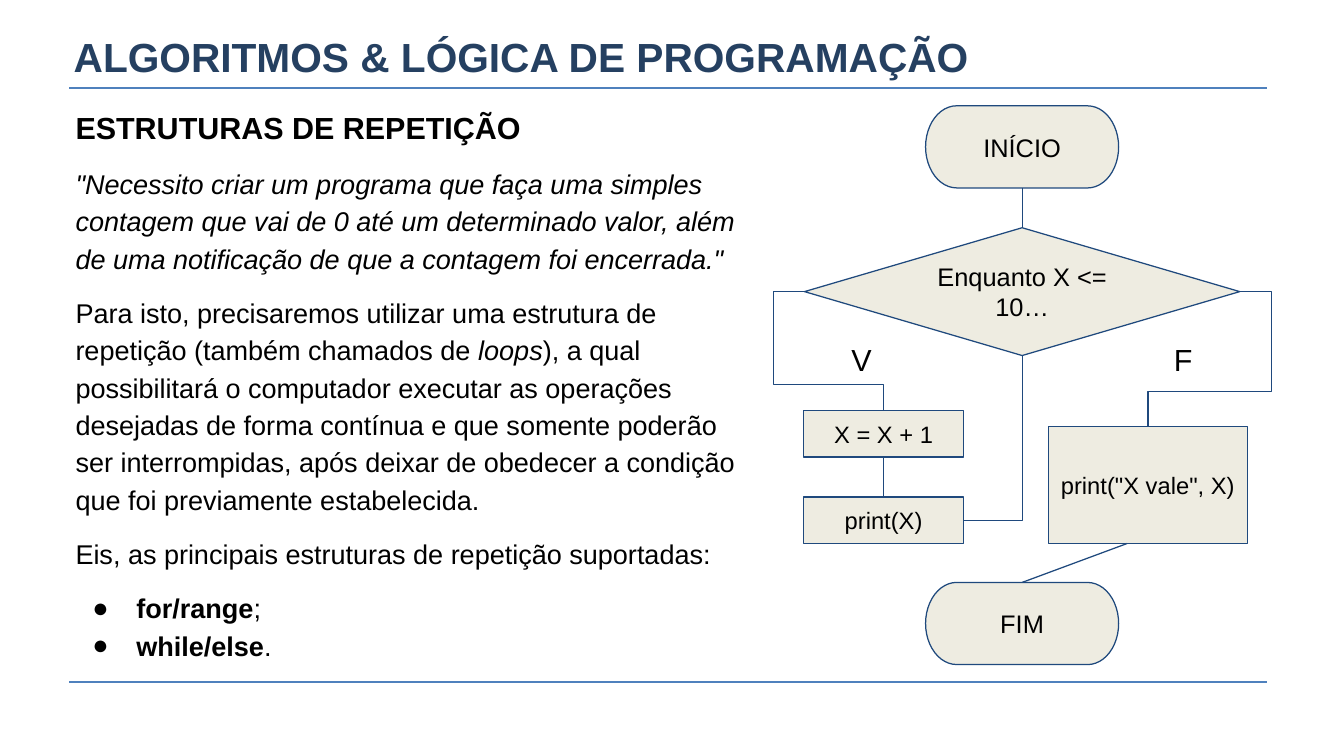
import dataclasses
import lxml.etree
import pptx
import pptx.dml.color
import pptx.enum.shapes
import pptx.enum.text
import pptx.oxml.ns
import pptx.util

Pt = pptx.util.Pt
qn = pptx.oxml.ns.qn
KINDS = pptx.enum.shapes.MSO_SHAPE
LINKS = pptx.enum.shapes.MSO_CONNECTOR
ALIGN = pptx.enum.text.PP_ALIGN
ANCHOR = pptx.enum.text.MSO_ANCHOR
TOP, LEFT, BOTTOM, RIGHT = range(4)


@dataclasses.dataclass
class Theme:
    font: str = "Arial"
    title: str = "254061"
    text: str = "000000"
    rule: str = "4F81BD"
    edge: str = "1F497D"
    fill: str = "EEECE1"
    head_size: float = 24
    big_size: float = 18
    body_size: float = 16
    node_size: float = 15
    code_size: float = 14
    inset: float = 7.2


class Board:
    def __init__(self, slide, theme):
        self.slide = slide
        self.theme = theme

    def color(self, value):
        return pptx.dml.color.RGBColor.from_string(value)

    def style(self, run, size, color=None, bold=False, italic=False):
        font = run.font
        font.name = self.theme.font
        font.size = Pt(size)
        font.bold = bold
        font.italic = italic
        font.color.rgb = self.color(color or self.theme.text)

    def frame(self, shape, inset, anchor, wrap=True):
        frame = shape.text_frame
        frame.word_wrap = wrap
        frame.vertical_anchor = anchor
        frame.margin_left = frame.margin_right = Pt(inset)
        frame.margin_top = frame.margin_bottom = Pt(inset)
        return frame

    def label(self, text, box, size, color=None, bold=False, inset=0,
              anchor=ANCHOR.MIDDLE, wrap=True):
        shape = self.slide.shapes.add_textbox(*map(Pt, box))
        frame = self.frame(shape, inset, anchor, wrap)
        frame.text = text
        self.style(frame.paragraphs[0].runs[0], size, color, bold)

    def story(self, box, items):
        """Write paragraphs given as (size, gap, bullet, runs); a run is (text, marks)."""
        shape = self.slide.shapes.add_textbox(*map(Pt, box))
        frame = self.frame(shape, self.theme.inset, ANCHOR.TOP)
        for index, (size, gap, bullet, runs) in enumerate(items):
            para = frame.add_paragraph() if index else frame.paragraphs[0]
            para.line_spacing = 1.15
            para.space_before = Pt(gap)
            if bullet:
                self.bullet(para)
            for text, marks in runs:
                run = para.add_run()
                run.text = text
                self.style(run, size, bold="b" in marks, italic="i" in marks)

    def bullet(self, para):
        props = para._p.get_or_add_pPr()
        props.set("marL", str(Pt(36)))
        props.set("indent", str(Pt(-26)))
        tint = lxml.etree.SubElement(props, qn("a:buClr"))
        lxml.etree.SubElement(tint, qn("a:srgbClr"), val=self.theme.text)
        lxml.etree.SubElement(props, qn("a:buFont"), typeface=self.theme.font)
        lxml.etree.SubElement(props, qn("a:buChar"), char="●")

    def node(self, kind, text, box, size):
        shape = self.slide.shapes.add_shape(kind, *map(Pt, box))
        shape.shadow.inherit = False
        shape.fill.solid()
        shape.fill.fore_color.rgb = self.color(self.theme.fill)
        shape.line.color.rgb = self.color(self.theme.edge)
        shape.line.width = Pt(0.75)
        frame = self.frame(shape, self.theme.inset, ANCHOR.MIDDLE)
        frame.text = text
        para = frame.paragraphs[0]
        para.alignment = ALIGN.CENTER
        self.style(para.runs[0], size)
        return shape

    def line(self, start, end, color, width, kind=LINKS.STRAIGHT):
        link = self.slide.shapes.add_connector(kind, *map(Pt, start + end))
        link.line.color.rgb = self.color(color)
        link.line.width = Pt(width)
        lxml.etree.SubElement(link._element.spPr, qn("a:effectLst"))
        return link

    def join(self, first, side, last, goal, bend=None, adjust=()):
        """Link two nodes; bend names an elbow form, adjust its turns in 1/100000."""
        kind = LINKS.ELBOW if bend else LINKS.STRAIGHT
        link = self.line((0, 0), (0, 0), self.theme.edge, 0.75, kind)
        link.begin_connect(first, side)
        link.end_connect(last, goal)
        if bend:
            shape = link._element.spPr.find(qn("a:prstGeom"))
            shape.set("prst", bend)
            turns = shape.find(qn("a:avLst"))
            for index, value in enumerate(adjust, 1):
                lxml.etree.SubElement(turns, qn("a:gd"), name=f"adj{index}",
                                      fmla=f"val {value}")


def main():
    deck = pptx.Presentation()
    deck.slide_width, deck.slide_height = Pt(793.5), Pt(446.5)
    theme = Theme()
    board = Board(deck.slides.add_slide(deck.slide_layouts[6]), theme)

    for y in (52, 403):
        board.line((41, y), (748, y), theme.rule, 1)
    board.label("ALGORITMOS & LÓGICA DE PROGRAMAÇÃO", (43.5, 16, 707, 34),
                theme.head_size, theme.title, True)

    body = theme.body_size
    board.story((37.5, 54, 419, 347), [
        (theme.big_size, 0, False, [("ESTRUTURAS DE REPETIÇÃO", "b")]),
        (body, 10, False, [(
            '"Necessito criar um programa que faça uma simples contagem que vai '
            "de 0 até um determinado valor, além de uma notificação de que a "
            'contagem foi encerrada."', "i")]),
        (body, 10, False, [
            ("Para isto, precisaremos utilizar uma estrutura de repetição "
             "(também chamados de ", ""),
            ("loops", "i"),
            ("), a qual possibilitará o computador executar as operações "
             "desejadas de forma contínua e que somente poderão ser "
             "interrompidas, após deixar de obedecer a condição que foi "
             "previamente estabelecida.", "")]),
        (body, 10, False, [
            ("Eis, as principais estruturas de repetição suportadas:", "")]),
        (body, 10, True, [("for/range", "b"), (";", "")]),
        (body, 0, True, [("while/else", "b"), (".", "")]),
    ])

    start, stop = [
        board.node(KINDS.FLOWCHART_TERMINATOR, text, (546.5, y, 114, 48.5),
                   theme.node_size)
        for text, y in (("INÍCIO", 62.5), ("FIM", 344))]
    test = board.node(KINDS.FLOWCHART_DECISION, "Enquanto X <= 10…",
                      (475, 134.5, 257, 75.5), theme.node_size)
    count, show = [
        board.node(KINDS.RECTANGLE, text, (474.5, y, 94.5, 27.5), theme.code_size)
        for text, y in (("X = X + 1", 242.5), ("print(X)", 293.5))]
    final = board.node(KINDS.RECTANGLE, 'print("X vale", X)',
                       (619, 252, 117.5, 69), theme.code_size)

    board.join(start, BOTTOM, test, TOP)
    board.join(test, RIGHT, final, TOP, "bentConnector4", (-34900, 73900))
    board.join(test, LEFT, count, TOP, "bentConnector4", (-39700, 78300))
    board.join(count, BOTTOM, show, TOP)
    board.join(show, RIGHT, test, BOTTOM, "bentConnector2")
    exit_link = board.line((665.5, 321), (603.5, 344), theme.edge, 0.75)
    exit_link.end_connect(stop, TOP)

    for text, x in (("V", 495.5), ("F", 686)):
        board.label(text, (x, 194.5, 26, 36), theme.big_size, inset=theme.inset,
                    anchor=ANCHOR.TOP, wrap=False)
    deck.save("out.pptx")


if __name__ == "__main__":
    main()
